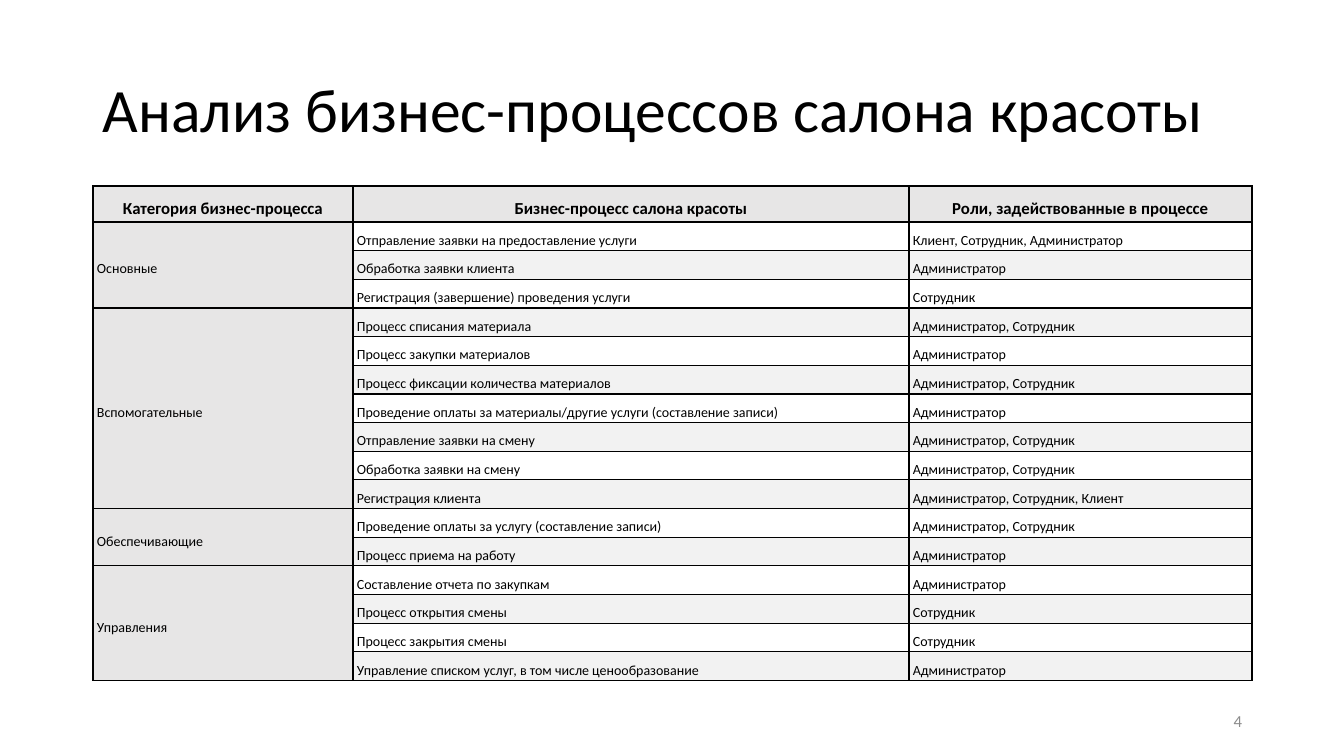
from pptx import Presentation
from pptx.dml.color import RGBColor
from pptx.enum.text import MSO_ANCHOR, PP_ALIGN
from pptx.oxml import parse_xml
from pptx.oxml.ns import nsdecls
from pptx.util import Emu, Pt

LEFT, CENTER, RIGHT = PP_ALIGN.LEFT, PP_ALIGN.CENTER, PP_ALIGN.RIGHT
MIDDLE = MSO_ANCHOR.MIDDLE

BLACK = RGBColor(0x00, 0x00, 0x00)
GRAY = RGBColor(0x8C, 0x8C, 0x8C)
HEADING_FILL = RGBColor(0xE7, 0xE6, 0xE6)
BAND_FILL = RGBColor(0xF2, 0xF2, 0xF2)
FONT = "Calibri"

PIXELS_PER_INCH = 100.8
HEADER_HEIGHT = 36
COLUMN_WIDTHS = [260, 556, 343]
CELL_MARGIN = 4

HEADERS = ["Категория бизнес-процесса", "Бизнес-процесс салона красоты",
           "Роли, задействованные в процессе"]
CLIENT, STAFF, ADMIN = "Клиент", "Сотрудник", "Администратор"
PROCESSES = {
    "Основные": [
        ("Отправление заявки на предоставление услуги", [CLIENT, STAFF, ADMIN]),
        ("Обработка заявки клиента", [ADMIN]),
        ("Регистрация (завершение) проведения услуги", [STAFF]),
    ],
    "Вспомогательные": [
        ("Процесс списания материала", [ADMIN, STAFF]),
        ("Процесс закупки материалов", [ADMIN]),
        ("Процесс фиксации количества материалов", [ADMIN, STAFF]),
        ("Проведение оплаты за материалы/другие услуги (составление записи)", [ADMIN]),
        ("Отправление заявки на смену", [ADMIN, STAFF]),
        ("Обработка заявки на смену", [ADMIN, STAFF]),
        ("Регистрация клиента", [ADMIN, STAFF, CLIENT]),
    ],
    "Обеспечивающие": [
        ("Проведение оплаты за услугу (составление записи)", [ADMIN, STAFF]),
        ("Процесс приема на работу", [ADMIN]),
    ],
    "Управления": [
        ("Составление отчета по закупкам", [ADMIN]),
        ("Процесс открытия смены", [STAFF]),
        ("Процесс закрытия смены", [STAFF]),
        ("Управление списком услуг, в том числе ценообразование", [ADMIN]),
    ],
}


def px(pixels):
    return Emu(round(pixels * 914400 / PIXELS_PER_INCH))


def format_text(para, size, color, align=LEFT, bold=False):
    para.alignment = align
    for span in para.runs:
        span.font.name = FONT
        span.font.size = Pt(size)
        span.font.bold = bold
        span.font.color.rgb = color


def add_text(page, box, text, size, color, align=LEFT, line_spacing=1.0):
    frame = page.shapes.add_textbox(*map(px, box)).text_frame
    frame.word_wrap = True
    frame.vertical_anchor = MIDDLE
    frame.text = text
    frame.paragraphs[0].line_spacing = line_spacing
    format_text(frame.paragraphs[0], size, color, align)


def style_cell(cell, fill):
    cell.vertical_anchor = MIDDLE
    cell.margin_left = cell.margin_right = px(CELL_MARGIN)
    cell.margin_top = cell.margin_bottom = 0
    properties = cell._tc.get_or_add_tcPr()
    for side in "LRTB":
        properties.append(parse_xml(
            f'<a:ln{side} {nsdecls("a")} w="{Pt(1)}"><a:solidFill>'
            f'<a:srgbClr val="{BLACK}"/></a:solidFill></a:ln{side}>'))
    if fill is None:
        cell.fill.background()
    else:
        cell.fill.solid()
        cell.fill.fore_color.rgb = fill


def write_cell(cell, text, size=10, align=LEFT, bold=False):
    cell.text = text
    para = cell.text_frame.paragraphs[0]
    para.line_spacing = 1.5
    para.space_after = Pt(8)
    format_text(para, size, BLACK, align, bold)


def add_process_table(page, box):
    row_count = 1 + sum(len(group) for group in PROCESSES.values())
    table = page.shapes.add_table(row_count, len(HEADERS), *map(px, box)).table

    # Column and row sizes
    for column, width in zip(table.columns, COLUMN_WIDTHS):
        column.width = px(width)
    row_height = (box[3] - HEADER_HEIGHT) / (row_count - 1)
    for index, row in enumerate(table.rows):
        row.height = px(row_height if index else HEADER_HEIGHT)

    # Fills and borders
    for row_index, row in enumerate(table.rows):
        for column_index, cell in enumerate(row.cells):
            if row_index == 0 or column_index == 0:
                fill = HEADING_FILL
            else:
                fill = None if row_index % 2 else BAND_FILL
            style_cell(cell, fill)

    # Header row
    for column_index, header in enumerate(HEADERS):
        write_cell(table.cell(0, column_index), header, 12, CENTER, True)

    # Categories with their processes and roles
    first = 1
    for category, group in PROCESSES.items():
        table.cell(first, 0).merge(table.cell(first + len(group) - 1, 0))
        write_cell(table.cell(first, 0), category)
        for row_index, (process, roles) in enumerate(group, first):
            write_cell(table.cell(row_index, 1), process)
            write_cell(table.cell(row_index, 2), ", ".join(roles))
        first += len(group)


def add_process_slide(deck):
    page = deck.slides.add_slide(deck.slide_layouts[6])
    add_text(page, (93, 40, 1159, 146), "Анализ бизнес-процессов салона красоты",
             44, BLACK, line_spacing=0.9)
    add_process_table(page, (93, 186, sum(COLUMN_WIDTHS), 495))
    # Page number
    add_text(page, (950, 701, 302, 40), "4", 12, GRAY, RIGHT)


deck = Presentation()
deck.slide_width, deck.slide_height = px(1344), px(756)
add_process_slide(deck)
deck.save("out.pptx")
